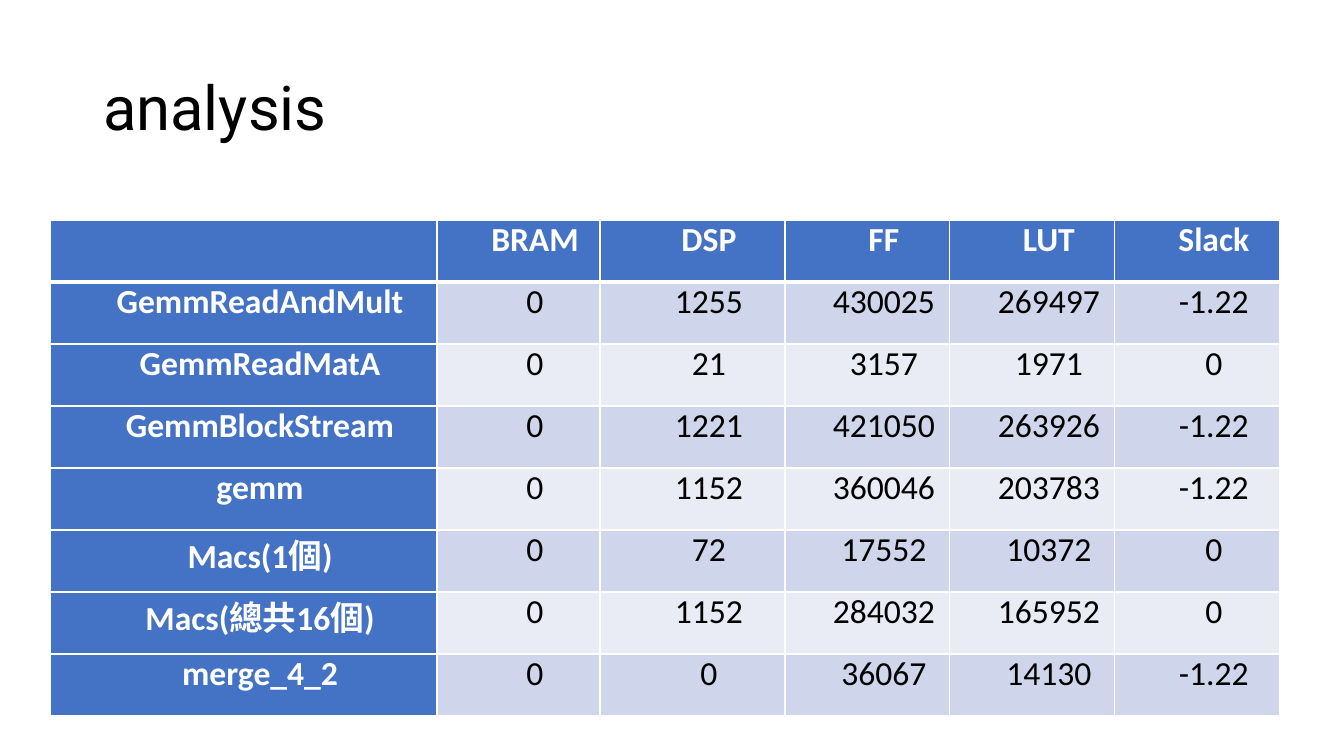
from dataclasses import dataclass

from lxml.etree import SubElement
from pptx import Presentation
from pptx.dml.color import RGBColor as Color
from pptx.enum.text import MSO_ANCHOR as Anchor, MSO_AUTO_SIZE as AutoSize, PP_ALIGN as Align
from pptx.oxml.ns import qn
from pptx.util import Emu, Pt

PX = 914400 / 100.8


@dataclass(frozen=True)
class Theme:
    """Colours, fonts and type sizes of the deck."""
    white: str = "FFFFFF"
    black: str = "000000"
    blue: str = "4472C4"
    bands: tuple = ("CFD5EA", "E9EBF5")
    title_font: str = "Roboto"
    table_font: str = "Calibri"
    title_size: int = 44
    table_size: int = 24
    border: int = 1
    header_border: int = 3


THEME = Theme()
SLIDE_SIZE = (1344, 756)
TITLE_BOX = (93, 38, 1159, 146)
TABLE_BOX = (50, 220, 1230, 496)
COLUMN_WIDTHS = (387, 163, 185, 165, 165, 165)
CELL_INSET = 7
CELL_INDENT = 33
USAGE = (
    ("", "BRAM", "DSP", "FF", "LUT", "Slack"),
    ("GemmReadAndMult", "0", "1255", "430025", "269497", "-1.22"),
    ("GemmReadMatA", "0", "21", "3157", "1971", "0"),
    ("GemmBlockStream", "0", "1221", "421050", "263926", "-1.22"),
    ("gemm", "0", "1152", "360046", "203783", "-1.22"),
    ("Macs(1個)", "0", "72", "17552", "10372", "0"),
    ("Macs(總共16個)", "0", "1152", "284032", "165952", "0"),
    ("merge_4_2", "0", "0", "36067", "14130", "-1.22"),
)


def px(length):
    """Turn a length in px into EMU."""
    return Emu(round(length * PX))


def style_font(font, name, size, color, bold=False):
    """Set the typeface, size, colour and weight of a font."""
    font.name, font.size, font.bold = name, Pt(size), bold
    font.color.rgb = Color.from_string(color)


def add_borders(cell, bottom_width):
    """Draw white lines on the four sides of a cell."""
    properties = cell._tc.get_or_add_tcPr()
    widths = {"lnL": THEME.border, "lnR": THEME.border, "lnT": THEME.border, "lnB": bottom_width}
    for side, width in widths.items():
        line = SubElement(properties, qn(f"a:{side}"), w=str(Pt(width)))
        fill = SubElement(line, qn("a:solidFill"))
        SubElement(fill, qn("a:srgbClr"), val=THEME.white)


def fill_cell(cell, text, row, column):
    """Write and format one table cell."""
    heading = row == 0 or column == 0
    add_borders(cell, THEME.border if row else THEME.header_border)
    cell.fill.solid()
    shade = THEME.blue if heading else THEME.bands[(row - 1) % 2]
    cell.fill.fore_color.rgb = Color.from_string(shade)
    cell.margin_left = cell.margin_right = px(CELL_INSET)
    cell.margin_top = cell.margin_bottom = 0
    cell.text = text
    para = cell.text_frame.paragraphs[0]
    para.alignment = Align.CENTER
    indent = para._p.get_or_add_pPr()
    indent.set("marL", str(px(CELL_INDENT)))
    indent.set("indent", "0")
    color = THEME.white if heading else THEME.black
    style_font(para.font, THEME.table_font, THEME.table_size, color, heading)


def add_usage_table(page, box):
    """Place the resource usage table in a box."""
    table = page.shapes.add_table(len(USAGE), len(COLUMN_WIDTHS), *map(px, box)).table
    table.first_col = True
    for column, width in zip(table.columns, COLUMN_WIDTHS):
        column.width = px(width)
    for row in table.rows:
        row.height = px(box[3] / len(USAGE))
    for row, texts in enumerate(USAGE):
        for column, text in enumerate(texts):
            fill_cell(table.cell(row, column), text, row, column)


def set_title(page, text, box):
    """Place and format the title placeholder in a box."""
    title = page.shapes.title
    title.left, title.top, title.width, title.height = map(px, box)
    frame = title.text_frame
    frame.text = text
    frame.word_wrap = True
    frame.auto_size = AutoSize.NONE
    frame.vertical_anchor = Anchor.MIDDLE
    para = frame.paragraphs[0]
    para.alignment = Align.LEFT
    para.line_spacing = 0.9
    style_font(para.font, THEME.title_font, THEME.title_size, THEME.black)


def main():
    """Build the analysis slide and save the deck."""
    deck = Presentation()
    deck.slide_width, deck.slide_height = map(px, SLIDE_SIZE)
    page = deck.slides.add_slide(deck.slide_layouts.get_by_name("Title Only"))
    set_title(page, "analysis", TITLE_BOX)
    add_usage_table(page, TABLE_BOX)
    deck.save("out.pptx")


if __name__ == "__main__":
    main()
